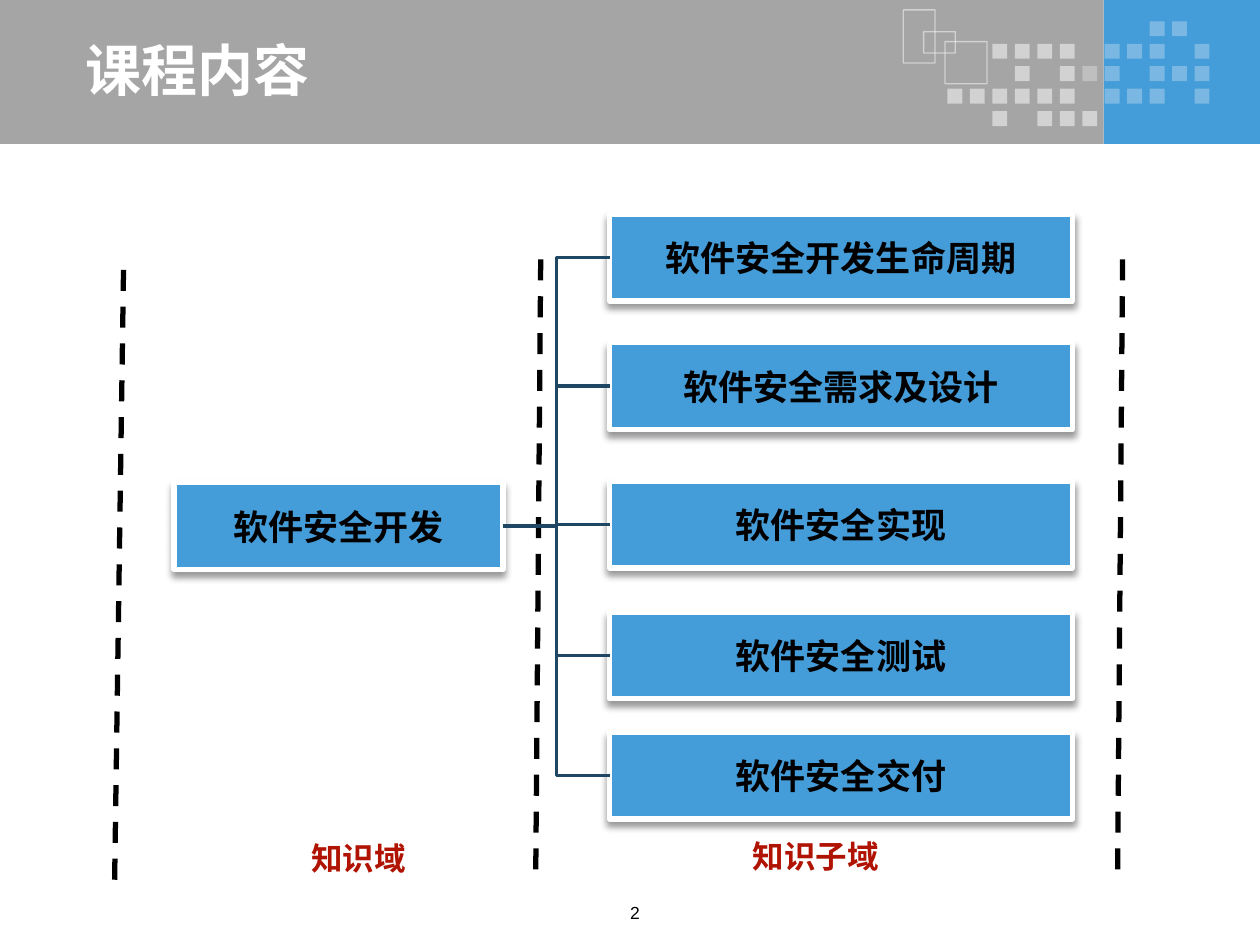
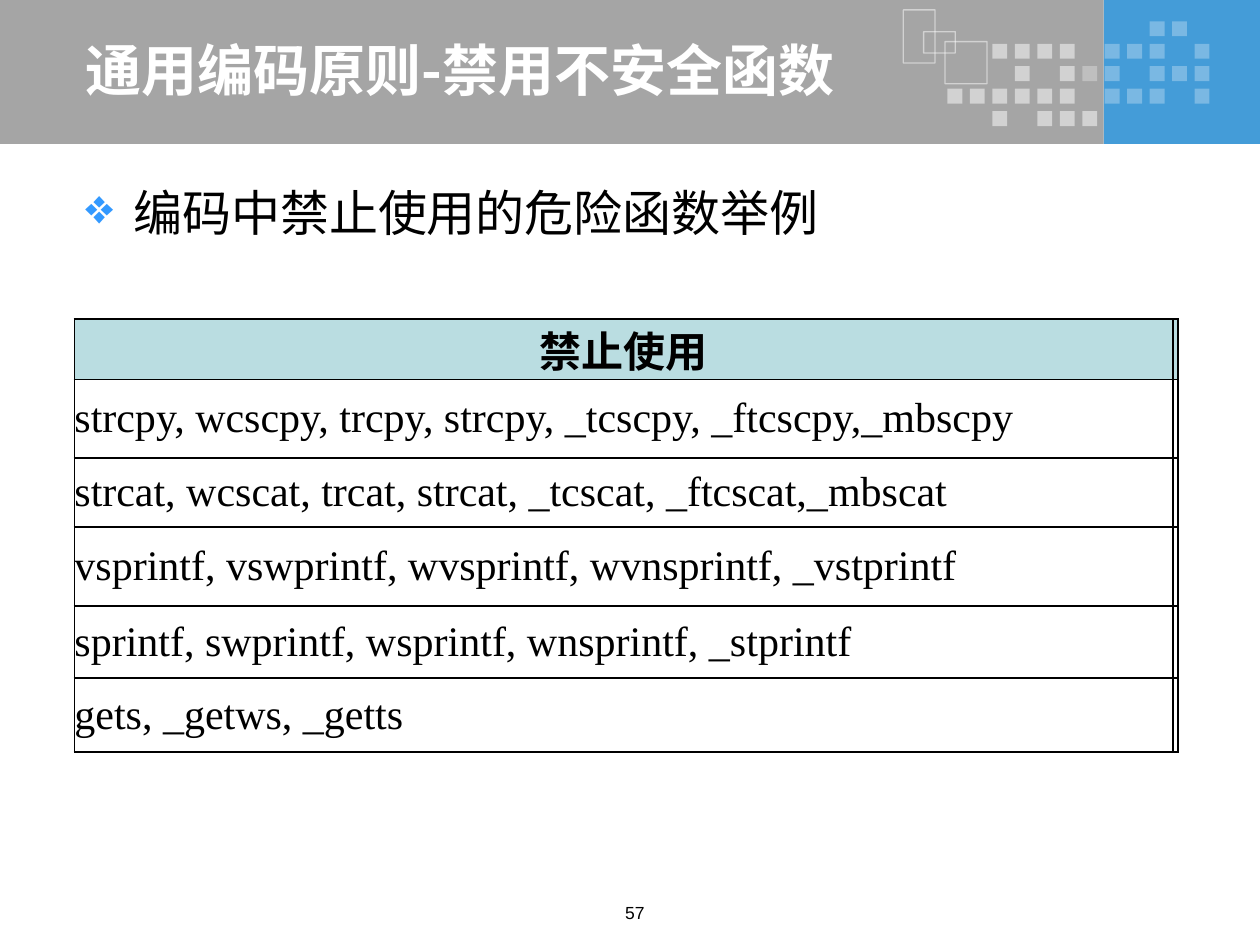
import pptx
import pptx.util
import pptx.dml.color
import pptx.enum.dml
import pptx.enum.shapes
import pptx.enum.text
import pptx.oxml.ns
from lxml import etree

Cm = pptx.util.Cm
Pt = pptx.util.Pt
qn = pptx.oxml.ns.qn
RECTANGLE = pptx.enum.shapes.MSO_SHAPE.RECTANGLE
CONNECTOR = pptx.enum.shapes.MSO_CONNECTOR
ALIGN = pptx.enum.text.PP_ALIGN
MIDDLE = pptx.enum.text.MSO_ANCHOR.MIDDLE

BLUE, GRAY, WHITE, BLACK = "449CD8", "A5A5A5", "FFFFFF", "000000"
NAVY, RED, HEADER, BULLET = "1E4763", "B01302", "BADDE1", "3399FF"
CJK = "Noto Sans CJK SC"

MOSAIC = [
    ".........++.",
    "..####.+++.+",
    "...#.#++.+++",
    "######.+++.+",
    "..#.###.....",
]
MOSAIC_ALPHA = {"#": 50, "+": 29}
OUTLINES = [(18.21, 0.2, 0.64, 1.07), (18.62, 0.64, 0.64, 0.43), (19.05, 0.84, 0.85, 0.85)]

SUBDOMAINS = [
    ("软件安全开发生命周期", 4.32),
    ("软件安全需求及设计", 6.91),
    ("软件安全实现", 9.7),
    ("软件安全测试", 12.34),
    ("软件安全交付", 14.76),
]
BANNED = [
    ("禁止使用", 1.22),
    ("strcpy, wcscpy, trcpy, strcpy, _tcscpy, _ftcscpy,_mbscpy", 1.58),
    ("strcat, wcscat, trcat, strcat, _tcscat, _ftcscat,_mbscat", 1.39),
    ("vsprintf, vswprintf, wvsprintf, wvnsprintf, _vstprintf", 1.6),
    ("sprintf, swprintf, wsprintf, wnsprintf, _stprintf", 1.45),
    ("gets, _getws, _getts", 1.49),
]


def rgb(value):
    return pptx.dml.color.RGBColor.from_string(value)


def child(parent, tag, **attributes):
    return etree.SubElement(parent, qn(tag), {k: str(v) for k, v in attributes.items()})


def write(tf, text, size, color=BLACK, font="Arial", bold=False, align=ALIGN.LEFT):
    p = tf.paragraphs[0]
    p.text = text
    p.alignment = align
    r = p.runs[0]
    r.font.size = Pt(size)
    r.font.name = font
    r.font.bold = bold
    r.font.color.rgb = rgb(color)
    child(r._r.get_or_add_rPr(), "a:ea", typeface=CJK)
    return p


def add_text(s, box, text, size, **style):
    tf = s.shapes.add_textbox(*map(Cm, box)).text_frame
    tf.word_wrap = True
    return tf, write(tf, text, size, **style)


def add_rect(shapes, box, fill=None, line=None, width=0.75, alpha=None):
    sp = shapes.add_shape(RECTANGLE, *map(Cm, box))
    sp.shadow.inherit = False
    if fill:
        sp.fill.solid()
        sp.fill.fore_color.rgb = rgb(fill)
    else:
        sp.fill.background()
    if line:
        sp.line.color.rgb = rgb(line)
        sp.line.width = Pt(width)
    else:
        sp.line.fill.background()
    if alpha:
        for clr in sp._element.spPr.iter(qn("a:srgbClr")):
            child(clr, "a:alpha", val=alpha * 1000)
    return sp


def add_box(s, box, text):
    sp = add_rect(s.shapes, box, BLUE, WHITE, 3)
    effects = sp._element.spPr.find(qn("a:effectLst"))
    shadow = child(effects, "a:outerShdw", blurRad=Pt(4), dist=Pt(3),
                   dir=90 * 60000, rotWithShape=0)
    child(child(shadow, "a:srgbClr", val=BLACK), "a:alpha", val=40000)
    tf = sp.text_frame
    tf.word_wrap = False
    tf.vertical_anchor = MIDDLE
    write(tf, text, 20, bold=True, align=ALIGN.CENTER)
    return sp


def add_line(s, kind, ends, color, width):
    cxn = s.shapes.add_connector(kind, *map(Cm, ends))
    cxn.line.color.rgb = rgb(color)
    cxn.line.width = Pt(width)
    child(cxn._element.spPr, "a:effectLst")
    return cxn


def add_divider(s, *ends):
    cxn = add_line(s, CONNECTOR.STRAIGHT, ends, BLACK, 3)
    cxn.line.dash_style = pptx.enum.dml.MSO_LINE.DASH


def add_branch(s, parent, target):
    cxn = add_line(s, CONNECTOR.ELBOW, (0, 0, 1, 1), NAVY, 2)
    cxn.begin_connect(parent, 3)
    cxn.end_connect(target, 1)


def add_mosaic(s):
    group = s.shapes.add_group_shape()
    for row, cells in enumerate(MOSAIC):
        for col, mark in enumerate(cells):
            if mark in MOSAIC_ALPHA:
                box = (19.1 + 0.453 * col, 0.43 + 0.453 * row, 0.3, 0.3)
                add_rect(group.shapes, box, WHITE, alpha=MOSAIC_ALPHA[mark])


def add_slide(prs, title, number):
    s = prs.slides.add_slide(prs.slide_layouts[6])
    add_rect(s.shapes, (22.25, 0, 3.15, 2.9), BLUE)
    add_rect(s.shapes, (0, 0, 22.25, 2.9), GRAY)
    add_mosaic(s)
    for box in OUTLINES:
        add_rect(s.shapes, box, line=WHITE, alpha=50)
    tf, _ = add_text(s, (1.47, 0.71, 19.71, 1.35), title, 32,
                     color=WHITE, font=CJK, bold=True)
    tf.vertical_anchor = MIDDLE
    add_text(s, (11.63, 18.06, 2.34, 0.74), number, 10, align=ALIGN.CENTER)
    return s


def add_bullet(s, box, text):
    _, p = add_text(s, box, text, 28, font=CJK)
    pPr = p._p.get_or_add_pPr()
    pPr.set("marL", str(Cm(0.97)))
    pPr.set("indent", str(-Cm(0.97)))
    child(child(pPr, "a:buClr"), "a:srgbClr", val=BULLET)
    child(pPr, "a:buChar", char="❖")


def style_cell(cell, fill):
    cell.margin_left = cell.margin_right = cell.margin_top = cell.margin_bottom = 0
    cell.vertical_anchor = MIDDLE
    tcPr = cell._tc.get_or_add_tcPr()
    for side in ("a:lnL", "a:lnR", "a:lnT", "a:lnB"):
        ln = child(tcPr, side, w=Pt(1))
        child(child(ln, "a:solidFill"), "a:srgbClr", val=BLACK)
    if fill:
        cell.fill.solid()
        cell.fill.fore_color.rgb = rgb(fill)
    else:
        cell.fill.background()


def add_banned_table(s):
    height = sum(h for _, h in BANNED)
    table = s.shapes.add_table(len(BANNED), 2, Cm(1.5), Cm(6.43), Cm(22.23), Cm(height)).table
    table.first_row = table.horz_banding = False
    table.columns[0].width = Cm(22.15)
    table.columns[1].width = Cm(0.08)
    for i, (text, row_height) in enumerate(BANNED):
        header = i == 0
        table.rows[i].height = Cm(row_height)
        for cell in table.rows[i].cells:
            style_cell(cell, HEADER if header else None)
        write(table.cell(i, 0).text_frame, text, 24, font="Times New Roman", bold=header,
              align=ALIGN.CENTER if header else ALIGN.JUSTIFY)


def build_outline(prs):
    s = add_slide(prs, "课程内容", "2")
    domain = add_box(s, (3.51, 9.73, 6.63, 1.75), "软件安全开发")
    add_divider(s, 10.9, 5.23, 10.8, 17.58)
    add_divider(s, 22.63, 5.23, 22.53, 17.58)
    add_divider(s, 2.49, 5.44, 2.31, 17.78)
    for box, label in (((5.72, 16.79, 3.02, 1.02), "知识域"),
                       ((14.05, 16.74, 4.8, 1.02), "知识子域")):
        add_text(s, box, label, 18, color=RED, bold=True, align=ALIGN.CENTER)
    for text, top in SUBDOMAINS:
        add_branch(s, domain, add_box(s, (12.29, top, 9.33, 1.75), text))


def build_banned(prs):
    s = add_slide(prs, "通用编码原则-禁用不安全函数", "57")
    add_bullet(s, (1.47, 3.55, 22.76, 1.8), "编码中禁止使用的危险函数举例")
    add_banned_table(s)


def main():
    prs = pptx.Presentation()
    prs.slide_width = Cm(25.4)
    prs.slide_height = Cm(19.05)
    build_outline(prs)
    build_banned(prs)
    prs.save("out.pptx")


if __name__ == "__main__":
    main()
